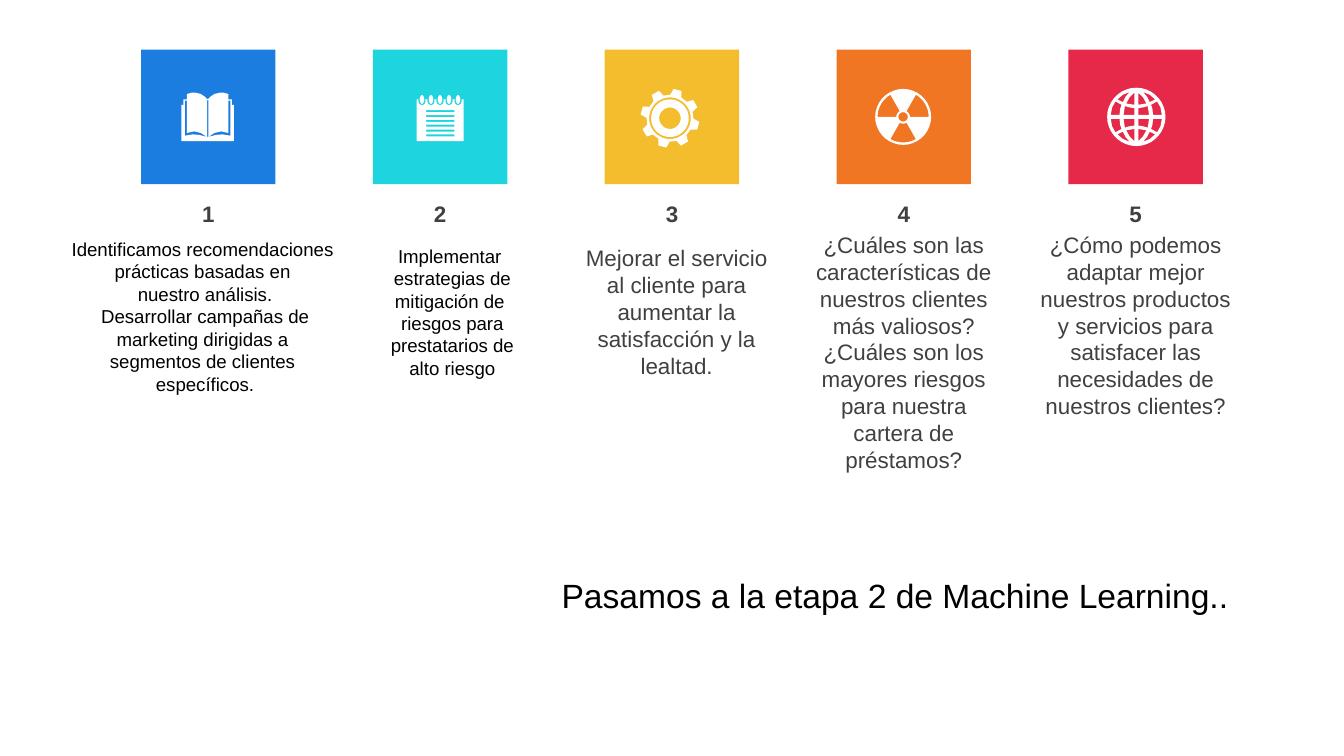
from dataclasses import dataclass
from math import cos, radians, sin

from pptx import Presentation
from pptx.dml.color import RGBColor
from pptx.enum.shapes import MSO_SHAPE
from pptx.enum.text import MSO_AUTO_SIZE, PP_ALIGN
from pptx.util import Inches, Pt

RECTANGLE = MSO_SHAPE.RECTANGLE
FIT_SHAPE = MSO_AUTO_SIZE.SHAPE_TO_FIT_TEXT
CENTER, LEFT = PP_ALIGN.CENTER, PP_ALIGN.LEFT


@dataclass(frozen=True)
class Theme:
    font: str = "Arial"
    black: str = "000000"
    gray: str = "404040"
    white: str = "FFFFFF"
    small: int = 10
    body: int = 12
    closing: int = 18


THEME = Theme()
SLIDE_WIDTH = 10
SLIDE_HEIGHT = SLIDE_WIDTH * 9 / 16
TILE = 1
LABEL_WIDTH = 1.65
LABEL_OFFSET = (TILE - LABEL_WIDTH) / 2
FIRST_LEFT, LAST_LEFT, COLUMN_TOP = 1.05, 7.95, 0.37
PRECISION = 10  # freeform units per percent of a tile


# Icon outlines, in percent of a tile
def arc(cx, cy, rx, ry, start=0, end=360, steps=36):
    angles = [radians(start + (end - start) * i / steps) for i in range(steps + 1)]
    return [(cx + rx * cos(a), cy + ry * sin(a)) for a in angles]


def circle(cx, cy, r):
    return arc(cx, cy, r, r)


def box(left, top, width, height):
    return [(left, top), (left + width, top),
            (left + width, top + height), (left, top + height)]


def book():
    cx = 49.5
    cover = [(0, 37), (2, 35), (5, 33), (9, 32), (12, 32), (15.5, 33),
             (15.5, 37), (18, 37), (18, 41), (19.5, 41), (19.5, 68), (0, 68)]
    gap = [(15.5, 38), (17, 38), (17, 64), (11, 63), (6, 63.5),
           (0.5, 65), (5, 62), (10, 60.8), (15.5, 62)]
    halves = [[(cx + side * x, y) for x, y in part]
              for part in (cover, gap) for side in (-1, 1)]
    return halves + [box(cx - 0.5, 37.5, 1, 27.5)]


def notepad():
    lines = [box(39.5, 45 + 3.6 * i, 21, 1.5) for i in range(6)]
    parts = [box(32.5, 37, 35, 31)] + lines
    for i in range(5):
        x = 36.5 + 6.7 * i
        notch = [(x - 2.6, 37), (x + 2.6, 37)]
        parts.append(notch + arc(x, 38.5, 2.6, 2.6, 0, 180, 12))
        parts.append(arc(x, 37, 1.6, 3.3))
    return parts


def gear():
    cx, cy, teeth = 48.5, 51, 8
    rim = []
    for tooth in range(teeth):
        middle = 360 / teeth * tooth - 75
        for offset, r in ((-14, 17.5), (-8, 22), (8, 22), (14, 17.5)):
            angle = radians(middle + offset)
            rim.append((cx + r * cos(angle), cy + r * sin(angle)))
    return [rim] + [circle(cx, cy, r) for r in (15.5, 14, 8)]


def trefoil():
    cx, cy = 49.5, 50
    blades = [arc(cx, cy, 5, 5, middle - 30, middle + 30, 10)
              + arc(cx, cy, 19, 19, middle + 30, middle - 30, 16)
              for middle in (-30, 90, 210)]
    return [circle(cx, cy, 20.8), circle(cx, cy, 3.5)] + blades


def globe():
    cx, cy = 50.5, 50
    cells = [
        [(1.5, 1.5), (9.5, 1.5), (8.5, 8), (5, 7), (1.5, 6.5)],
        [(12.5, 1.5), (19, 1.5), (18, 7), (15.5, 11.5), (11, 9), (12, 6)],
        [(1.5, 9), (4.5, 9.5), (7.5, 10), (5, 14.5), (1.5, 18)],
        [(10, 11), (14, 13), (10, 16.5), (5, 18.5), (8, 15)],
    ]
    return [circle(cx, cy, 21.7)] + [
        [(cx + sx * x, cy + sy * y) for x, y in cell]
        for cell in cells for sx in (-1, 1) for sy in (-1, 1)]


def paint(shape, color):
    shape.fill.solid()
    shape.fill.fore_color.rgb = RGBColor.from_string(color)
    shape.line.fill.background()
    shape.shadow.inherit = False


def add_icon(slide, left, top, outlines):
    pen = None
    for outline in outlines:
        points = [(x * PRECISION, y * PRECISION) for x, y in outline]
        if pen is None:
            pen = slide.shapes.build_freeform(
                *points[0], scale=Inches(TILE) / (100 * PRECISION))
        else:
            pen.move_to(*points[0])
        pen.add_line_segments(points[1:], close=True)
    paint(pen.convert_to_shape(Inches(left), Inches(top)), THEME.white)


def add_text(slide, place, lines, size, color, bold=False, align=CENTER, wrap=True):
    frame = slide.shapes.add_textbox(*map(Inches, place)).text_frame
    frame.word_wrap = wrap
    frame.auto_size = FIT_SHAPE
    style = {"name": THEME.font, "size": Pt(size), "bold": bold}
    for i, line in enumerate(lines):
        paragraph = frame.paragraphs[0] if i == 0 else frame.add_paragraph()
        paragraph.alignment = align
        run = paragraph.add_run()
        run.text = line
        for key, value in style.items():
            setattr(run.font, key, value)
        run.font.color.rgb = RGBColor.from_string(color)


def add_step(slide, left, top, number, step):
    """One column: colored tile with icon, number and caption."""
    tile = slide.shapes.add_shape(
        RECTANGLE, Inches(left), Inches(top), Inches(TILE), Inches(TILE))
    paint(tile, step["fill"])
    add_icon(slide, left, top, step["icon"]())
    add_text(slide, (left + LABEL_OFFSET, top + 1.07, LABEL_WIDTH, 0.3),
             [str(number)], THEME.body, THEME.gray, bold=True)
    dx, dy, width, height = step["caption_box"]
    add_text(slide, (left + dx, top + dy, width, height), step["caption"],
             step.get("size", THEME.body), step.get("color", THEME.gray))


SMALL_CAPTION = {"size": THEME.small, "color": THEME.black}
STEPS = [
    {"fill": "1C7DE1", "icon": book, "caption_box": (-0.62, 1.35, 2.19, 1.28),
     "caption": ["Identificamos recomendaciones ", "prácticas basadas en ",
                 "nuestro análisis.", "Desarrollar campañas de",
                 "marketing dirigidas a ", "segmentos de clientes ",
                 "específicos."], **SMALL_CAPTION},
    {"fill": "1ED4DE", "icon": notepad, "caption_box": (0, 1.4, 1.18, 1.11),
     "caption": ["Implementar ", "estrategias de mitigación de ",
                 "riesgos para", "prestatarios de alto riesgo"], **SMALL_CAPTION},
    {"fill": "F4BD2D", "icon": gear, "caption_box": (-0.29, 1.4, LABEL_WIDTH, 1.11),
     "caption": ["Mejorar el servicio al cliente para aumentar la "
                 "satisfacción y la lealtad."]},
    {"fill": "F07624", "icon": trefoil,
     "caption_box": (LABEL_OFFSET, 1.3, LABEL_WIDTH, 1.92),
     "caption": ["¿Cuáles son las características de nuestros clientes más valiosos?",
                 "¿Cuáles son los mayores riesgos para nuestra cartera de préstamos?"]},
    {"fill": "E62949", "icon": globe,
     "caption_box": (LABEL_OFFSET, 1.3, LABEL_WIDTH, 1.51),
     "caption": ["¿Cómo podemos adaptar mejor nuestros productos y servicios "
                 "para satisfacer las necesidades de nuestros clientes?"]},
]


def main():
    deck = Presentation()
    deck.slide_width, deck.slide_height = Inches(SLIDE_WIDTH), Inches(SLIDE_HEIGHT)
    slide = deck.slides.add_slide(deck.slide_layouts[6])

    # Five steps
    column_step = (LAST_LEFT - FIRST_LEFT) / (len(STEPS) - 1)
    for i, step in enumerate(STEPS):
        add_step(slide, FIRST_LEFT + column_step * i, COLUMN_TOP, i + 1, step)

    # Closing line
    add_text(slide, (4.08, 4.23, 5.21, 0.4),
             ["Pasamos a la etapa 2 de Machine Learning.."],
             THEME.closing, THEME.black, align=LEFT, wrap=False)
    deck.save("out.pptx")


if __name__ == "__main__":
    main()
